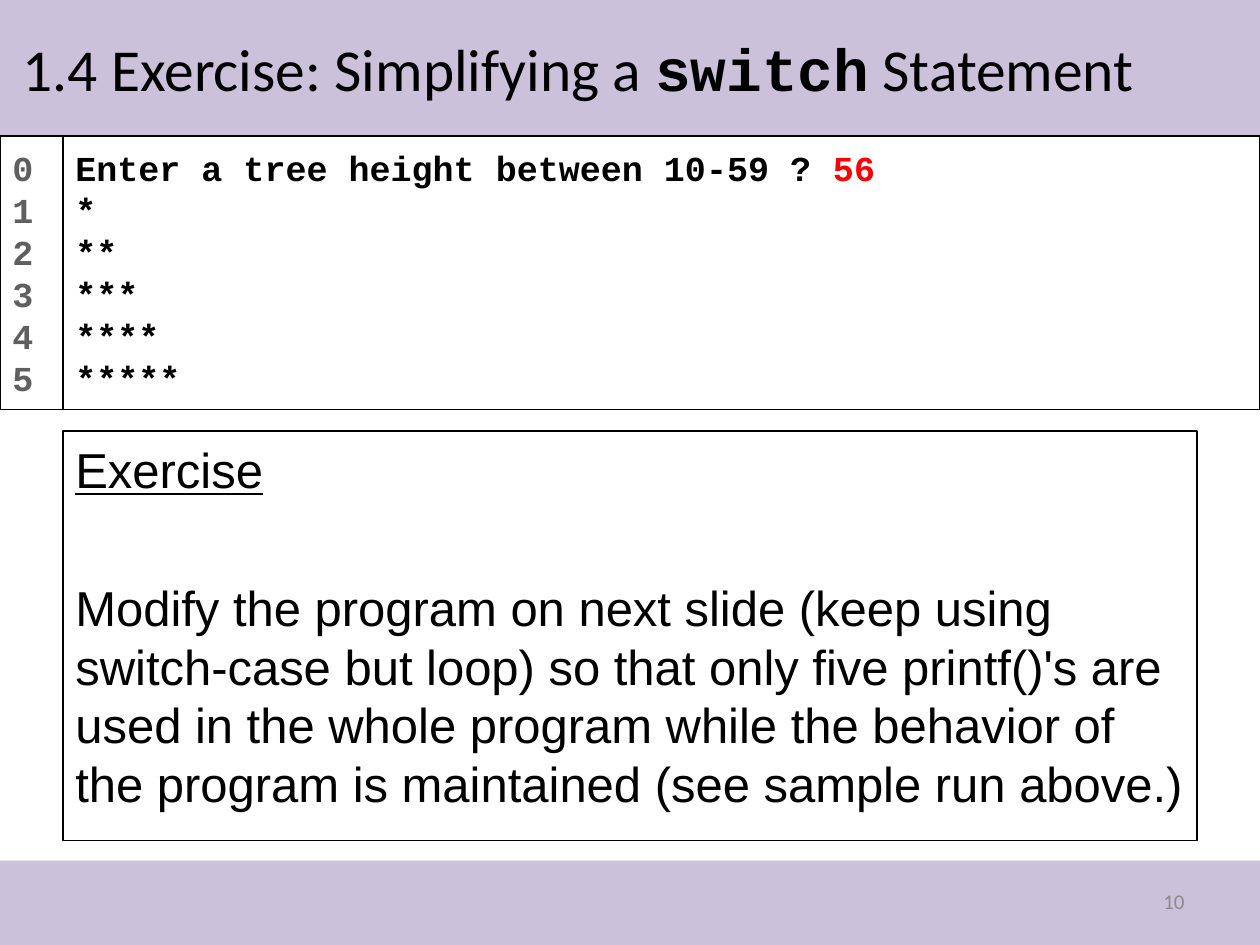
from dataclasses import dataclass

from pptx import Presentation
from pptx.dml.color import RGBColor
from pptx.enum.shapes import MSO_SHAPE as Preset
from pptx.enum.text import MSO_ANCHOR as Anchor, MSO_AUTO_SIZE as AutoSize, PP_ALIGN as Align
from pptx.util import Inches, Pt

BLACK, WHITE, RED = "000000", "FFFFFF", "FF0000"
LILAC, GRAY, PALE_GRAY = "CCC1DA", "5F5F5F", "8C8C8C"
CODE_FONT = "Courier New"
LINE_FACTOR = 1.2


@dataclass
class Area:
    left: float
    top: float
    width: float
    height: float

    def lengths(self) -> list:
        return [Inches(v) for v in (self.left, self.top, self.width, self.height)]


def color(value: str) -> RGBColor:
    return RGBColor.from_string(value)


def add_span(para, text: str, *, size: float, font="Calibri", ink=BLACK,
             bold=False, underline=False):
    span = para.add_run()
    span.text = text
    span.font.name, span.font.size = font, Pt(size)
    span.font.bold, span.font.underline = bold, underline
    span.font.color.rgb = color(ink)
    return span


def add_para(frame, text: str, *, before: float = 0, **style):
    """Fill the empty first paragraph, or append a new one."""
    first = frame.paragraphs[0]
    para = frame.add_paragraph() if first.runs else first
    para.alignment = Align.LEFT
    para.space_before = Pt(before)
    para.line_spacing = Pt(style["size"] * LINE_FACTOR)
    add_span(para, text, **style)
    return para


def add_panel(page, area: Area, *, fill: str | None = None, outlined=True,
              inset_top=0.05, inset_right=0.1):
    box = page.shapes.add_shape(Preset.RECTANGLE, *area.lengths())
    box.shadow.inherit = False
    if fill:
        box.fill.solid()
        box.fill.fore_color.rgb = color(fill)
    else:
        box.fill.background()
    if outlined:
        box.line.color.rgb = color(BLACK)
        box.line.width = Pt(0.75)
    else:
        box.line.fill.background()
    frame = box.text_frame
    frame.word_wrap = True
    frame.vertical_anchor = Anchor.TOP
    frame.margin_top = Inches(inset_top)
    frame.margin_right = Inches(inset_right)
    return frame


def main() -> None:
    deck = Presentation()
    deck.slide_width, deck.slide_height = Inches(10), Inches(7.5)
    page = deck.slides.add_slide(deck.slide_layouts[5])

    # Header and footer bands
    for band in (Area(0, 0, 10, 1.08), Area(0, 6.83, 10, 0.67)):
        add_panel(page, band, fill=LILAC, outlined=False)

    # Title, placed in front of the header band
    title = page.shapes.title
    title.left, title.top, title.width, title.height = Area(0.08, 0.08, 9.84, 0.92).lengths()
    page.shapes._spTree.append(title._element)
    title.text_frame.auto_size = AutoSize.NONE
    title.text_frame.vertical_anchor = Anchor.MIDDLE
    heading = title.text_frame.paragraphs[0]
    heading.alignment = Align.LEFT
    add_span(heading, "1.4 Exercise: Simplifying a ", size=34)
    add_span(heading, "switch", size=34, font=CODE_FONT, bold=True)
    add_span(heading, " Statement", size=34)

    # Page number
    number = page.shapes.add_textbox(*Area(7.17, 6.95, 2.33, 0.4).lengths()).text_frame
    number.word_wrap = True
    number.vertical_anchor = Anchor.MIDDLE
    number.paragraphs[0].alignment = Align.RIGHT
    add_span(number.paragraphs[0], "10", size=12, ink=PALE_GRAY)

    # Sample run with its line numbers
    code = dict(size=20, font=CODE_FONT, bold=True)
    sample = add_panel(page, Area(0.5, 1.08, 9.5, 2.17), fill=WHITE, inset_top=0.08)
    gutter = add_panel(page, Area(0, 1.08, 0.5, 2.17), fill=WHITE,
                       inset_top=0.08, inset_right=0)
    prompt = add_para(sample, "Enter a tree height between 10-59 ? ", **code)
    add_span(prompt, "56", ink=RED, **code)
    add_para(gutter, "0", ink=GRAY, **code)
    for row in range(1, 6):
        add_para(sample, "*" * row, **code)
        add_para(gutter, str(row), ink=GRAY, **code)

    # Exercise text
    task = add_panel(page, Area(0.5, 3.42, 9, 3.25), inset_top=0.07)
    add_para(task, "Exercise", size=28, font="Arial", underline=True)
    add_para(task, "Modify the program on next slide (keep using switch-case but loop) "
                   "so that only five printf()'s are used in the whole program while "
                   "the behavior of the program is maintained (see sample run above.)",
             size=28, font="Arial", before=45)

    deck.save("out.pptx")


if __name__ == "__main__":
    main()
